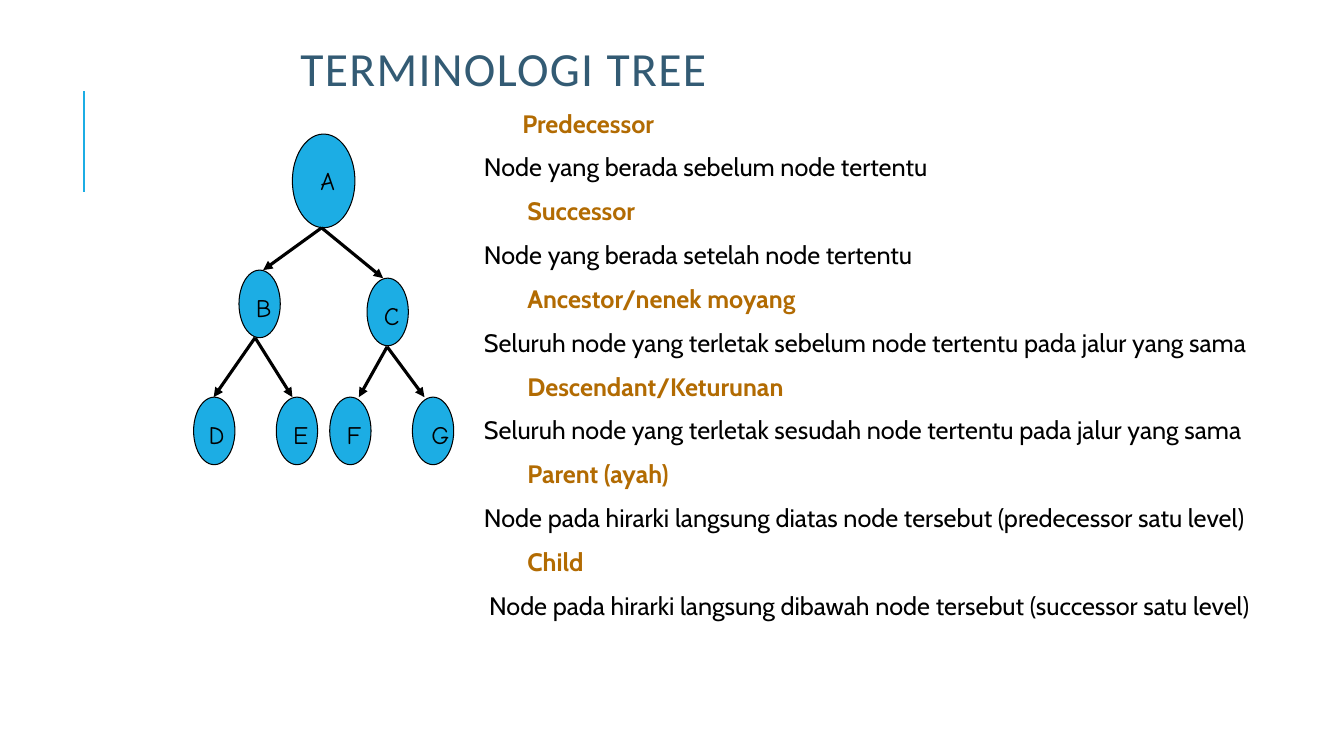
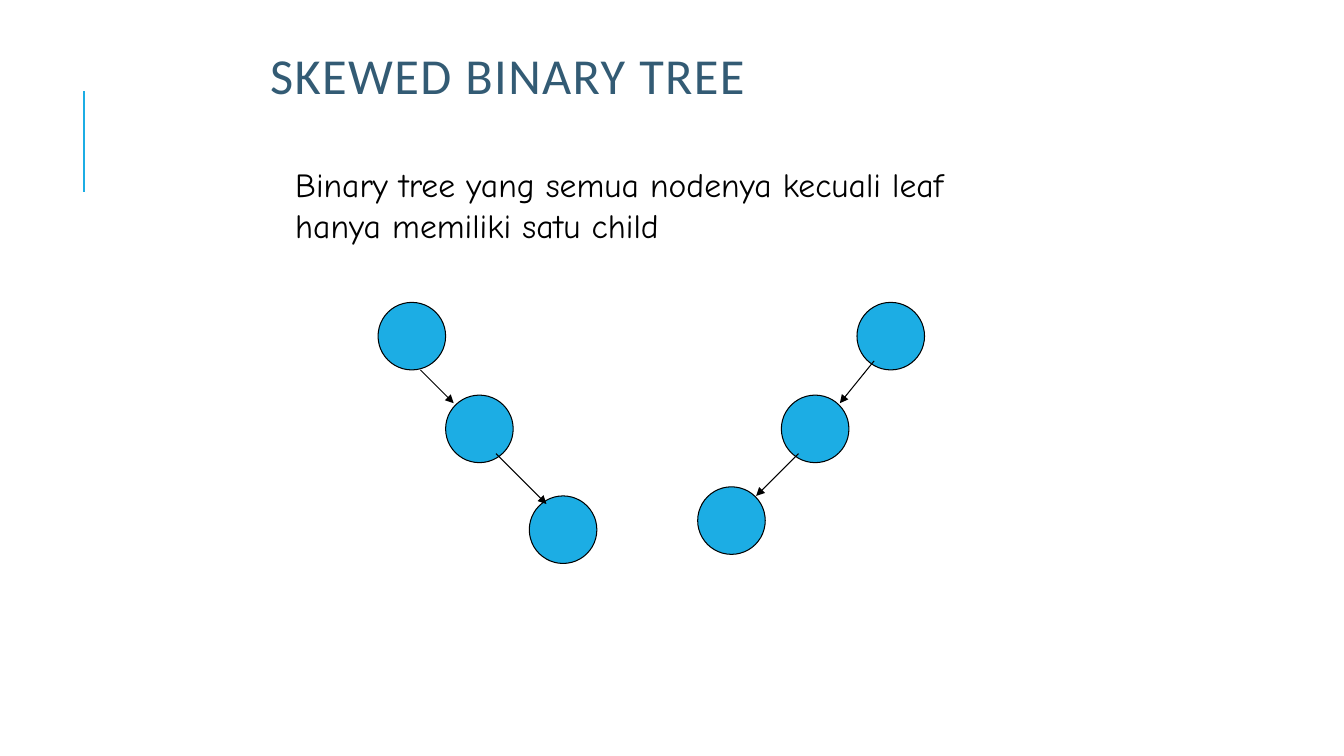
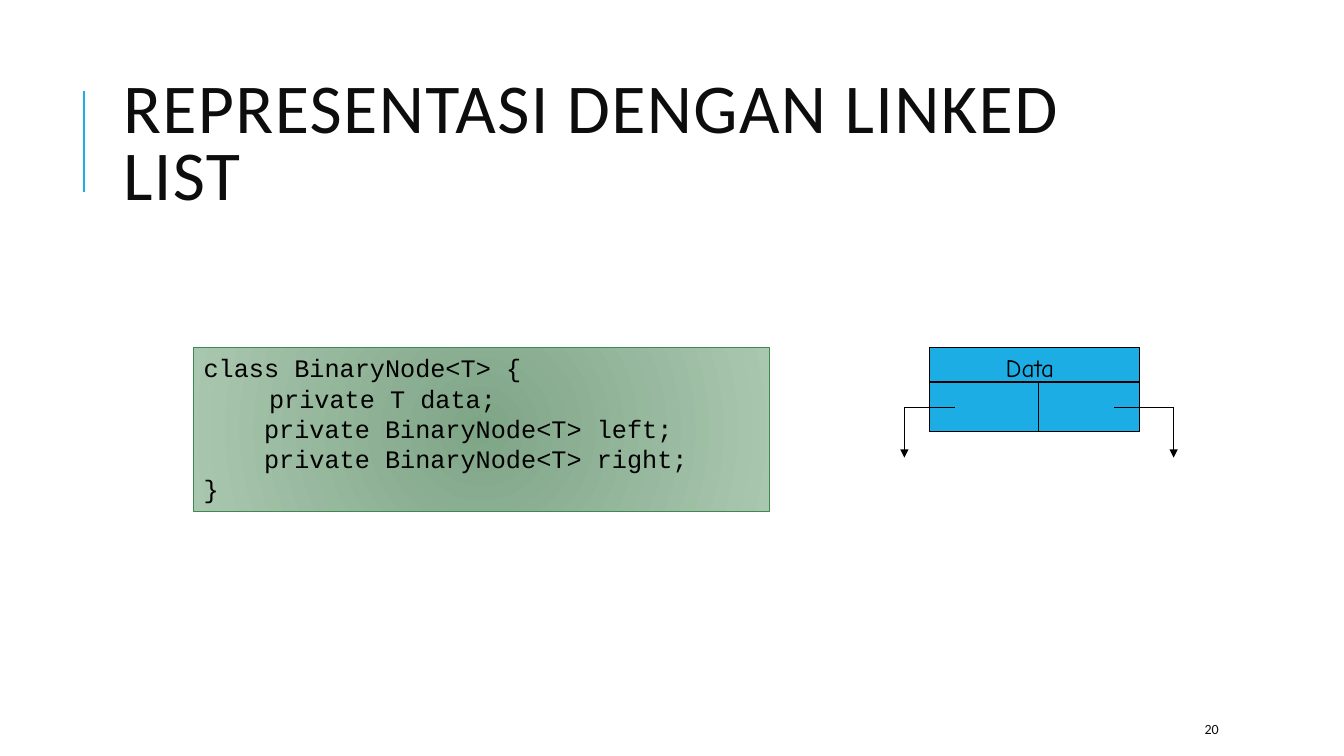
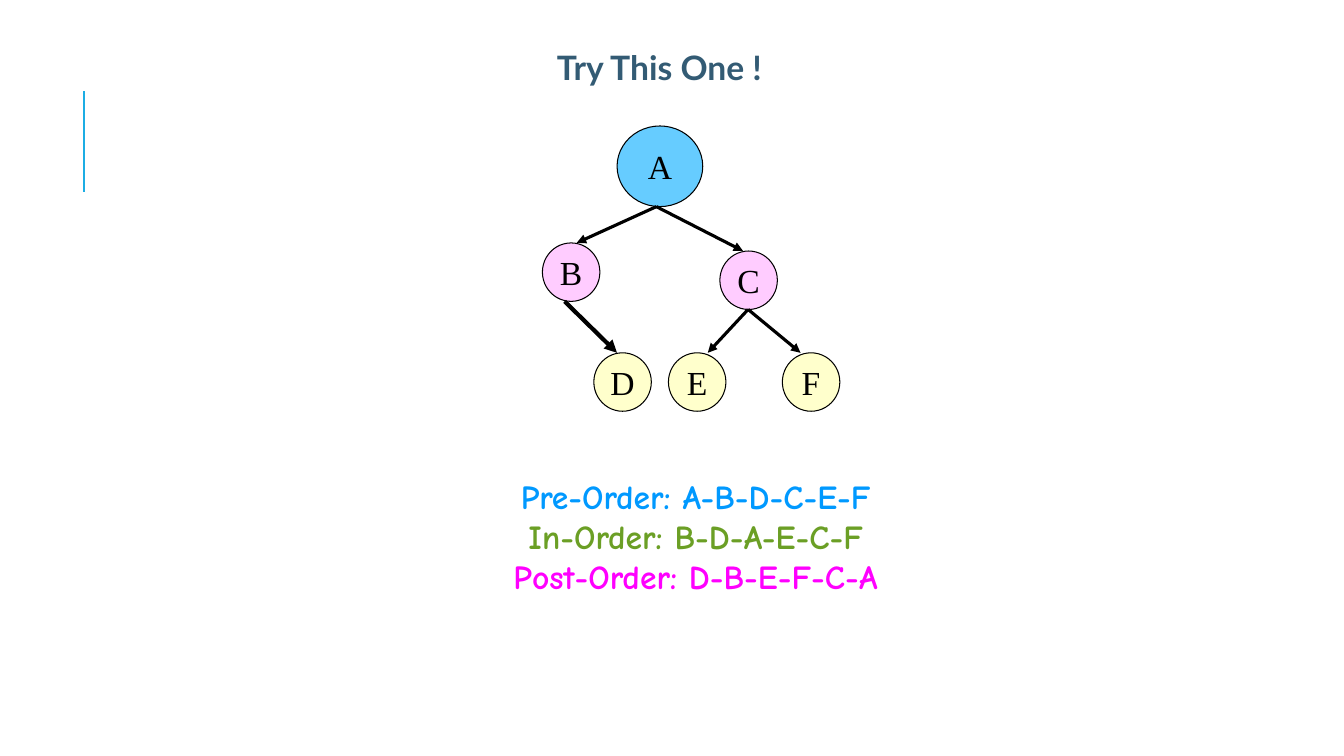
from dataclasses import dataclass
from typing import Optional, Sequence

from lxml.etree import SubElement
from pptx import Presentation
from pptx.dml.color import RGBColor
from pptx.enum.shapes import MSO_CONNECTOR, MSO_SHAPE
from pptx.enum.text import MSO_ANCHOR, PP_ALIGN
from pptx.oxml.ns import qn
from pptx.util import Pt

PX = 9144
TITLE_ONLY, BLANK = 5, 6
COLORS = {
    "accent": "1CADE4", "ink": "000000", "title": "335B74", "dark": "0D0D0D",
    "term": "B26B02", "root": "66CCFF", "branch": "FFCCFF", "leaf": "FFFFCC",
    "panel_core": "7FA587", "panel_rim": "A9C7AF", "panel_line": "3E8853",
    "pre": "0099FF", "in": "6B9F25", "post": "FF00FF",
}


@dataclass(frozen=True)
class Line:
    text: str
    color: str = "ink"
    bold: bool = False
    indent: int = 0


@dataclass(frozen=True)
class Area:
    left: int
    top: int
    width: int
    height: int

    def emu(self) -> list[int]:
        return [side * PX for side in (self.left, self.top, self.width, self.height)]


@dataclass(frozen=True)
class Node:
    label: str
    area: Area
    fill: str = "accent"
    label_left: int = 7
    label_top: int = 17


@dataclass(frozen=True)
class Edge:
    x1: int
    y1: int
    x2: int
    y2: int
    weight: float = 0.75
    arrow: bool = True


@dataclass(frozen=True)
class Term:
    name: str
    meaning: str
    name_indent: int = 43
    meaning_indent: int = 0


def rgb(name: str) -> RGBColor:
    return RGBColor.from_string(COLORS[name])


def write(shape, lines: Sequence[Line], *, font: str, size: int,
          align=PP_ALIGN.LEFT, anchor=MSO_ANCHOR.TOP, wrap: bool = True,
          leading: Optional[float] = None, before: int = 0, after: int = 0,
          tracking: int = 0, insets: tuple = (10, 5, 10, 5)) -> None:
    frame = shape.text_frame
    frame.word_wrap = wrap
    frame.vertical_anchor = anchor
    frame.margin_left, frame.margin_top, frame.margin_right, frame.margin_bottom = (
        inset * PX for inset in insets)
    for index, line in enumerate(lines):
        para = frame.add_paragraph() if index else frame.paragraphs[0]
        para.alignment = align
        para.space_before, para.space_after = Pt(before), Pt(after)
        if leading:
            para.line_spacing = leading
        if line.indent:
            para._p.get_or_add_pPr().set("marL", str(line.indent * PX))
        span = para.add_run()
        span.text = line.text
        span.font.name, span.font.size, span.font.bold = font, Pt(size), line.bold
        span.font.color.rgb = rgb(line.color)
        if tracking:
            span._r.get_or_add_rPr().set("spc", str(tracking * 100))


def add_text(slide, area: Area, lines: Sequence[Line], **style) -> None:
    write(slide.shapes.add_textbox(*area.emu()), lines, **style)


def add_figure(slide, kind, area: Area, fill: str, line: str = "ink"):
    shape = slide.shapes.add_shape(kind, *area.emu())
    shape.shadow.inherit = False
    shape.fill.solid()
    shape.fill.fore_color.rgb = rgb(fill)
    shape.line.color.rgb = rgb(line)
    shape.line.width = Pt(0.75)
    return shape


def add_edge(slide, edge: Edge, color: str = "ink") -> None:
    ends = [end * PX for end in (edge.x1, edge.y1, edge.x2, edge.y2)]
    connector = slide.shapes.add_connector(MSO_CONNECTOR.STRAIGHT, *ends)
    connector.line.color.rgb = rgb(color)
    connector.line.width = Pt(edge.weight)
    properties = connector._element.spPr
    if edge.arrow:
        SubElement(properties.find(qn("a:ln")), qn("a:tailEnd"), type="triangle")
    SubElement(properties, qn("a:effectLst"))


def add_tree(slide, nodes: Sequence[Node], edges: Sequence[Edge]) -> list:
    ovals = [add_figure(slide, MSO_SHAPE.OVAL, node.area, node.fill) for node in nodes]
    for edge in edges:
        add_edge(slide, edge)
    return ovals


def add_slide(deck, layout: int):
    slide = deck.slides.add_slide(deck.slide_layouts[layout])
    add_edge(slide, Edge(83, 190, 83, 90, 1.5, False), "accent")
    return slide


def add_titled_slide(deck, text: str, area: Area, size: int, *,
                     color: str = "title", anchor=MSO_ANCHOR.BOTTOM):
    slide = add_slide(deck, TITLE_ONLY)
    title = slide.shapes.title
    title.left, title.top, title.width, title.height = area.emu()
    write(title, [Line(text, color)], font="Calibri", size=size,
          anchor=anchor, leading=0.8, tracking=1)
    return slide


def build_terminology(deck) -> None:
    slide = add_titled_slide(deck, "TERMINOLOGI TREE", Area(288, 17, 442, 83), 34)
    terms = [
        Term("Predecessor", "Node yang berada sebelum node tertentu", 38),
        Term("Successor", "Node yang berada setelah node tertentu"),
        Term("Ancestor/nenek moyang",
             "Seluruh node yang terletak sebelum node tertentu pada jalur yang sama"),
        Term("Descendant/Keturunan",
             "Seluruh node yang terletak sesudah node tertentu pada jalur yang sama"),
        Term("Parent (ayah)",
             "Node pada hirarki langsung diatas node tersebut (predecessor satu level)"),
        Term("Child",
             "Node pada hirarki langsung dibawah node tersebut (successor satu level)",
             meaning_indent=5),
    ]
    lines = []
    for term in terms:
        lines += [Line(term.name, "term", True, term.name_indent),
                  Line(term.meaning, indent=term.meaning_indent)]
    add_text(slide, Area(475, 108, 858, 550), lines, font="Cabin", size=18,
             leading=0.8, before=12, after=2, insets=(5, 5, 5, 5))

    nodes = [
        Node("A", Area(290, 133, 62, 93), label_left=18, label_top=26),
        Node("B", Area(237, 268, 41, 67)),
        Node("C", Area(364, 276, 41, 67)),
        Node("D", Area(192, 394, 41, 67), label_left=5),
        Node("E", Area(274, 394, 41, 67)),
        Node("F", Area(327, 394, 41, 67)),
        Node("G", Area(409, 394, 41, 67), label_left=9),
    ]
    ends = [(319, 226, 261, 268), (319, 226, 380, 276), (253, 335, 212, 394),
            (253, 335, 290, 394), (384, 344, 356, 394), (384, 344, 421, 394)]
    add_tree(slide, nodes, [Edge(*end, 2.25) for end in ends])
    for node in nodes:
        area = Area(node.area.left + node.label_left, node.area.top + node.label_top, 26, 40)
        add_text(slide, area, [Line(node.label)], font="Comic Neue", size=18)


def build_skewed(deck) -> None:
    slide = add_titled_slide(deck, "SKEWED BINARY TREE", Area(258, 36, 820, 72), 36)
    sentence = "Binary tree yang semua nodenya kecuali leaf hanya memiliki satu child"
    add_text(slide, Area(283, 158, 717, 91), [Line(sentence)], font="Comic Neue", size=24)
    corners = [(375, 300), (442, 392), (525, 492), (850, 300), (775, 392), (692, 483)]
    ends = [(417, 367, 450, 400), (492, 450, 542, 500),
            (867, 358, 833, 400), (792, 450, 750, 492)]
    add_tree(slide, [Node("", Area(*corner, 67, 67)) for corner in corners],
             [Edge(*end) for end in ends])


def build_linked_list(deck) -> None:
    slide = add_titled_slide(deck, "REPRESENTASI DENGAN LINKED LIST",
                             Area(112, 64, 1063, 164), 50,
                             color="dark", anchor=MSO_ANCHOR.MIDDLE)
    add_text(slide, Area(1185, 708, 106, 30), [Line("20", "dark")],
             font="Calibri", size=10, anchor=MSO_ANCHOR.MIDDLE)

    panel = add_figure(slide, MSO_SHAPE.RECTANGLE, Area(192, 345, 571, 162),
                       "panel_core", "panel_line")
    panel.fill.gradient()
    for stop, color in zip(panel.fill.gradient_stops, ("panel_core", "panel_rim")):
        stop.color.rgb = rgb(color)
    gradient = panel._element.spPr.find(qn("a:gradFill"))
    gradient.remove(gradient.find(qn("a:lin")))
    circle = SubElement(gradient, qn("a:path"), path="circle")
    SubElement(circle, qn("a:fillToRect"), {side: "100000" for side in "ltrb"})
    write(panel, [
        Line("class BinaryNode<T> {"),
        Line("private T data;", indent=65),
        Line("private BinaryNode<T> left;", indent=60),
        Line("private BinaryNode<T> right;", indent=60),
        Line("}"),
    ], font="Courier New", size=18)

    add_figure(slide, MSO_SHAPE.RECTANGLE, Area(922, 345, 208, 83), "accent")
    plain_ends = [(922, 379, 1130, 379), (1030, 379, 1030, 429),
                  (947, 404, 897, 404), (1105, 404, 1164, 404)]
    for end in plain_ends:
        add_edge(slide, Edge(*end, arrow=False))
    for pointer_x in (897, 1164):
        add_edge(slide, Edge(pointer_x, 404, pointer_x, 454))
    add_text(slide, Area(955, 345, 133, 40), [Line("Data")],
             font="Comic Neue", size=18, align=PP_ALIGN.CENTER)


def build_exercise(deck) -> None:
    slide = add_slide(deck, BLANK)
    add_text(slide, Area(383, 42, 542, 50), [Line("Try This One !", "title", True)],
             font="Lato", size=24, align=PP_ALIGN.CENTER)
    nodes = [
        Node("A", Area(612, 125, 85, 80), "root"),
        Node("B", Area(538, 241, 57, 58), "branch"),
        Node("C", Area(714, 249, 57, 58), "branch"),
        Node("D", Area(589, 350, 57, 58), "leaf"),
        Node("E", Area(663, 350, 57, 58), "leaf"),
        Node("F", Area(776, 350, 57, 58), "leaf"),
    ]
    edges = [Edge(651, 205, 572, 241, 2.25), Edge(651, 205, 737, 249, 2.25),
             Edge(560, 299, 612, 350, 3), Edge(742, 307, 702, 350, 2.25),
             Edge(742, 307, 794, 350, 2.25)]
    for node, oval in zip(nodes, add_tree(slide, nodes, edges)):
        write(oval, [Line(node.label)], font="Times New Roman", size=24,
              align=PP_ALIGN.CENTER, anchor=MSO_ANCHOR.MIDDLE, wrap=False)
    add_text(slide, Area(383, 467, 625, 192), [
        Line("Pre-Order: A-B-D-C-E-F", "pre", True),
        Line("In-Order: B-D-A-E-C-F", "in", True),
        Line("Post-Order: D-B-E-F-C-A", "post", True),
    ], font="Comic Neue", size=24, align=PP_ALIGN.CENTER, insets=(10, 5, 21, 5))


def main() -> None:
    deck = Presentation()
    deck.slide_width, deck.slide_height = 1333 * PX, 750 * PX
    for build in (build_terminology, build_skewed, build_linked_list, build_exercise):
        build(deck)
    deck.save("out.pptx")


if __name__ == "__main__":
    main()
